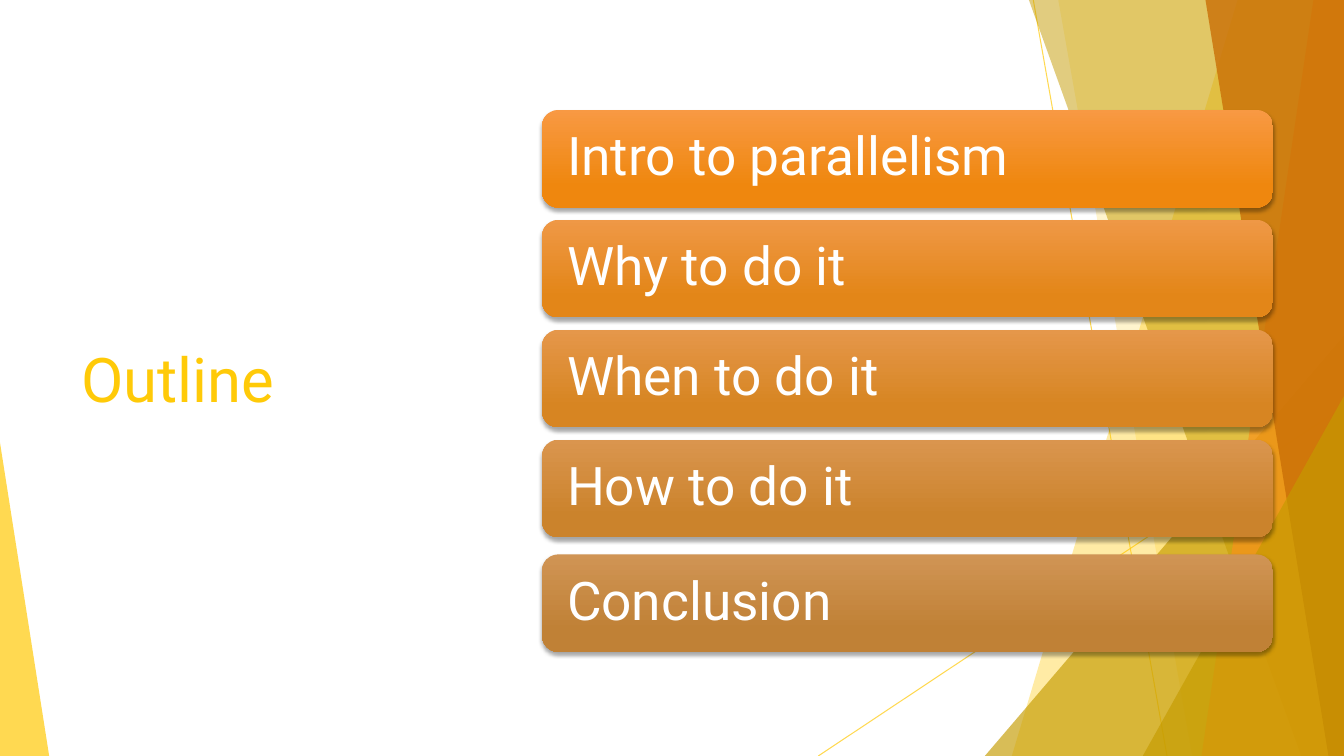
from lxml.etree import SubElement
from pptx import Presentation
from pptx.dml.color import RGBColor
from pptx.enum.shapes import MSO_CONNECTOR, MSO_SHAPE
from pptx.enum.text import MSO_ANCHOR as Anchor, PP_ALIGN as Align
from pptx.oxml.ns import qn
from pptx.util import Cm, Pt


class Theme:
    font = "Roboto"
    title_size, bar_size = Pt(44), Pt(38)
    yellow, olive = "FFCA08", "C59B00"
    orange, rust = "F8931D", "CA6F06"
    white, shadow = "FFFFFF", "000000"


# Lengths in centimetres
WIDTH, HEIGHT = 33.87, 19.05

TITLE = "Outline"
TITLE_BOX = (1.8, 3.84, 9.86, 11.38)

# text, gradient top, gradient bottom, extra drop below the even pitch
TOPICS = [
    ("Intro to parallelism", "F89943", "EF870E", 0),
    ("Why to do it", "EF9846", "E38618", 0),
    ("When to do it", "E5974A", "D78522", 0),
    ("How to do it", "DA954E", "CB832C", 0),
    ("Conclusion", "D09454", "C08136", 0.12),
]
BAR_LEFT, BAR_TOP, BAR_WIDTH, BAR_HEIGHT, BAR_PITCH = 13.66, 2.77, 18.42, 2.46, 2.77
BAR_INSET = 0.51

RAYS = [(26.04, 0, 29.41, HEIGHT), (WIDTH, 10.24, 20.62, HEIGHT)]

# strip: x at the top, x at the bottom; triangle: left, top, width, apex
FACETS = [
    ("strip", (31.19, 25.5), Theme.yellow, 36),
    ("strip", (26.67, 30.05), Theme.yellow, 20),
    ("triangle", (24.82, 8.46, 9.05, 1), Theme.olive, 66),
    ("strip", (25.93, 32.79), Theme.olive, 50),
    ("strip", (33.1, 30.28), Theme.orange, 70),
    ("strip", (30.38, 33.48), Theme.rust, 80),
    ("triangle", (28.8, 9.98, 5.07, 1), Theme.olive, 66),
    ("triangle", (0, 11.15, 1.24, 0), Theme.yellow, 70),
]


def rgb(value):
    return RGBColor.from_string(value)


def set_alpha(shape, percent):
    """Make the one solid colour of a shape or line partly transparent."""
    color = next(shape._element.spPr.iter(qn("a:srgbClr")))
    SubElement(color, qn("a:alpha"), val=str(percent * 1000))


def add_ray(s, ends):
    ray = s.shapes.add_connector(MSO_CONNECTOR.STRAIGHT, *map(Cm, ends))
    ray.line.color.rgb = rgb(Theme.yellow)
    ray.line.width = Pt(0.75)
    set_alpha(ray, 70)
    SubElement(ray._element.spPr, qn("a:effectLst"))


def add_strip(s, top_x, bottom_x):
    """Add a facet from a slanted left side to the right edge of the slide."""
    points = [(WIDTH, 0), (WIDTH, HEIGHT), (bottom_x, HEIGHT)]
    builder = s.shapes.build_freeform(Cm(top_x), 0)
    builder.add_line_segments([(Cm(x), Cm(y)) for x, y in points], close=True)
    return builder.convert_to_shape()


def add_triangle(s, left, top, width, apex):
    """Add a triangle that stands on the bottom edge of the slide."""
    box = map(Cm, (left, top, width, HEIGHT - top))
    triangle = s.shapes.add_shape(MSO_SHAPE.ISOSCELES_TRIANGLE, *box)
    triangle.adjustments[0] = apex
    return triangle


def add_facet(s, kind, geometry, color, alpha):
    add = add_strip if kind == "strip" else add_triangle
    facet = add(s, *geometry)
    facet.shadow.inherit = False
    facet.fill.solid()
    facet.fill.fore_color.rgb = rgb(color)
    facet.line.fill.background()
    set_alpha(facet, alpha)


def set_text(shape, text, size, color):
    tf = shape.text_frame
    tf.text = text
    tf.word_wrap = True
    tf.vertical_anchor = Anchor.MIDDLE
    p = tf.paragraphs[0]
    p.alignment = Align.LEFT
    font = p.runs[0].font
    font.name, font.size, font.color.rgb = Theme.font, size, rgb(color)
    return tf


def add_drop_shadow(shape):
    shape.shadow.inherit = False
    effects = shape._element.spPr.find(qn("a:effectLst"))
    shadow = SubElement(effects, qn("a:outerShdw"), blurRad=str(Pt(3)),
                        dist=str(Pt(2)), dir="5400000", rotWithShape="0")
    color = SubElement(shadow, qn("a:srgbClr"), val=Theme.shadow)
    SubElement(color, qn("a:alpha"), val="35000")


def add_bar(s, top, text, upper, lower):
    box = map(Cm, (BAR_LEFT, top, BAR_WIDTH, BAR_HEIGHT))
    bar = s.shapes.add_shape(MSO_SHAPE.ROUNDED_RECTANGLE, *box)
    bar.fill.gradient()
    bar.fill.gradient_angle = 270
    for stop, position, color in zip(bar.fill.gradient_stops, (0, 0.78), (upper, lower)):
        stop.position = position
        stop.color.rgb = rgb(color)
    bar.line.fill.background()
    add_drop_shadow(bar)
    tf = set_text(bar, text, Theme.bar_size, Theme.white)
    tf.margin_left = tf.margin_right = Cm(BAR_INSET)
    tf.paragraphs[0].line_spacing = 0.9


def main():
    prs = Presentation()
    prs.slide_width, prs.slide_height = Cm(WIDTH), Cm(HEIGHT)
    s = prs.slides.add_slide(prs.slide_layouts[6])

    for ends in RAYS:
        add_ray(s, ends)
    for facet in FACETS:
        add_facet(s, *facet)

    title = s.shapes.add_textbox(*map(Cm, TITLE_BOX))
    set_text(title, TITLE, Theme.title_size, Theme.yellow)

    for i, (text, upper, lower, drop) in enumerate(TOPICS):
        add_bar(s, BAR_TOP + i * BAR_PITCH + drop, text, upper, lower)

    prs.save("out.pptx")


if __name__ == "__main__":
    main()
